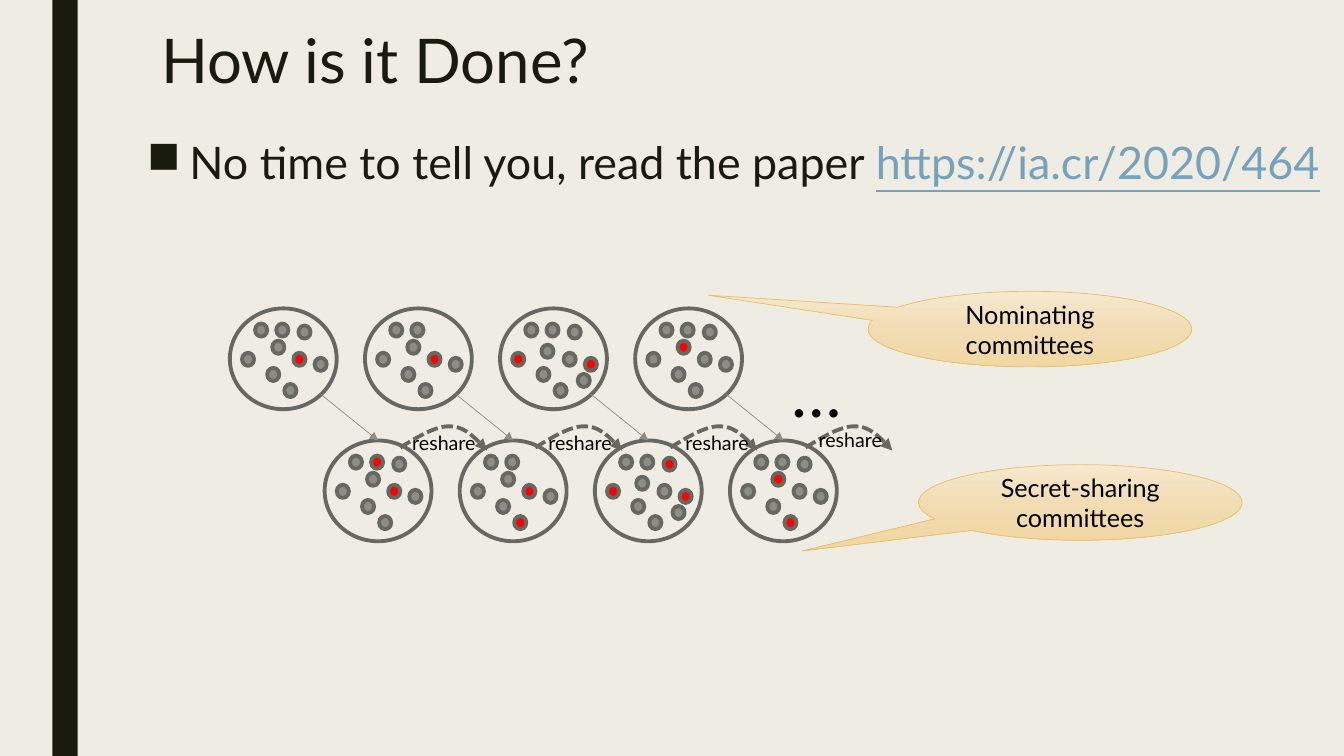
"""Build the slide on nominating and secret-sharing committees."""
from copy import deepcopy
from dataclasses import dataclass

from lxml import etree
from pptx import Presentation
from pptx import util as u
from pptx.dml.color import RGBColor
from pptx.enum import dml, shapes, text
from pptx.oxml.ns import qn
from pptx.shapes.autoshape import Shape
from pptx.shapes.base import BaseShape
from pptx.slide import Slide
from pptx.text.text import TextFrame


@dataclass(frozen=True)
class Theme:
    """Colours, font and sizes of the slide."""
    font: str = "Lato"
    background: str = "EFEDE3"
    ink: str = "191B0E"
    link: str = "77A2BB"
    label: str = "000000"
    outline: str = "686863"
    honest: str = "8C8D86"
    corrupt: str = "FF0000"
    callout_line: str = "E6C069"
    callout_stops: tuple[str, ...] = ("F7E9D0", "F1DCB4", "F1D7A3")
    title_size: float = 44
    body_size: float = 32
    ellipsis_size: float = 48
    callout_size: float = 18
    label_size: float = 14
    heavy: float = 2.75
    thin: float = 0.5


@dataclass(frozen=True)
class Box:
    """A frame in inches."""
    left: float
    top: float
    width: float
    height: float

    def lengths(self) -> tuple[int, ...]:
        """Return the frame as lengths."""
        return tuple(map(u.Inches, (self.left, self.top, self.width, self.height)))


@dataclass(frozen=True)
class Round:
    """The members of one column and the corrupt ones in each row."""
    members: str
    nominating_corrupt: str
    sharing_corrupt: str


@dataclass(frozen=True)
class Callout:
    """A speech bubble with its pointer."""
    caption: str
    box: Box
    pointer: tuple[float, float]


THEME = Theme()
PITCH = 1.34
NOMINATING = (2.28, 3.06)
SHARING = (3.22, 4.37)
CIRCLE = (1.06, 1.0)
MEMBER = (0.12, 0.13)
SEATS = {
    "A": (0.25, 0.15), "B": (0.42, 0.32), "C": (0.12, 0.44), "D": (0.37, 0.59),
    "E": (0.54, 0.75), "F": (0.68, 0.17), "G": (0.63, 0.44), "H": (0.84, 0.49),
    "I": (0.46, 0.15), "J": (0.77, 0.65), "K": (0.41, 0.36),
}
ROUNDS = (
    Round("ABCDEFGHI", "G", "GI"),
    Round("ABCDEGHI", "G", "EG"),
    Round("AKCDEFGHIJ", "CH", "CFH"),
    Round("ABCDEFGHI", "B", "BE"),
)
RESHARE_START = (3.97, 4.23)
RESHARE_CURVES = (
    ((0, 0.21), (0.18, 0.1), (0.36, -0.01), (0.5, 0)),
    ((0.5, 0), (0.64, 0), (0.75, 0.12), (0.86, 0.24)),
)
CURVE_STEPS = 12
RESHARE_LABELS = ((3.99, 4.23), (5.34, 4.23), (6.7, 4.23), (8.02, 4.2))
CALLOUTS = (
    Callout("Nominating committees", Box(8.61, 2.89, 3.21, 0.75), (-0.994, -0.449)),
    Callout("Secret-sharing committees", Box(9.11, 4.61, 3.21, 0.75), (-0.859, 0.642)),
)


def rgb(value: str) -> RGBColor:
    """Return a colour from its hexadecimal form."""
    return RGBColor.from_string(value)


def write(frame: TextFrame, words: str, size: float, color: str) -> None:
    """Write one styled paragraph into a frame."""
    paragraph = frame.paragraphs[0]
    paragraph.add_run().text = words
    paragraph.font.name = THEME.font
    paragraph.font.size = u.Pt(size)
    paragraph.font.color.rgb = rgb(color)


def add_text(slide: Slide, box: Box, words: str, size: float, color: str,
             wrap: bool = True) -> TextFrame:
    """Add a text box and return its frame."""
    frame = slide.shapes.add_textbox(*box.lengths()).text_frame
    frame.word_wrap = wrap
    write(frame, words, size, color)
    return frame


def set_line(shape: BaseShape, color: str, width: float) -> None:
    """Set the colour and width of an outline."""
    shape.line.color.rgb = rgb(color)
    shape.line.width = u.Pt(width)


def add_arrowhead(shape: BaseShape) -> None:
    """End a line with a triangle."""
    etree.SubElement(shape.line._get_or_add_ln(), qn("a:tailEnd"), type="triangle")


def add_ellipse(slide: Slide, box: Box, fill: str | None = None) -> Shape:
    """Add an outlined ellipse, hollow unless a fill is given."""
    ellipse = slide.shapes.add_shape(shapes.MSO_SHAPE.OVAL, *box.lengths())
    ellipse.shadow.inherit = False
    set_line(ellipse, THEME.outline, THEME.heavy)
    if fill:
        ellipse.fill.solid()
        ellipse.fill.fore_color.rgb = rgb(fill)
    else:
        ellipse.fill.background()
    return ellipse


def add_committee(slide: Slide, left: float, top: float, members: str, corrupt: str) -> Shape:
    """Add a committee circle with its members."""
    circle = add_ellipse(slide, Box(left, top, *CIRCLE))
    for member in members:
        across, down = SEATS[member]
        color = THEME.corrupt if member in corrupt else THEME.honest
        add_ellipse(slide, Box(left + across, top + down, *MEMBER), color)
    return circle


def add_nomination(slide: Slide, left: float, top: float, target: Shape) -> None:
    """Add an arrow from a nominating committee to its target."""
    start = u.Inches(left + 0.9), u.Inches(top + 0.85)
    arrow = slide.shapes.add_connector(shapes.MSO_CONNECTOR.STRAIGHT, *start, *start)
    arrow.end_connect(target, 0)
    set_line(arrow, THEME.honest, THEME.thin)
    add_arrowhead(arrow)
    etree.SubElement(arrow._element.spPr, qn("a:effectLst"))


def curve_point(curve: tuple, t: float, left: float, top: float) -> tuple[int, int]:
    """Return the point of a cubic curve at parameter t."""
    weights = ((1 - t) ** 3, 3 * t * (1 - t) ** 2, 3 * t ** 2 * (1 - t), t ** 3)
    x, y = (sum(w * point[axis] for w, point in zip(weights, curve)) for axis in (0, 1))
    return u.Inches(left + x), u.Inches(top + y)


def add_reshare(slide: Slide, left: float, top: float) -> None:
    """Add a dashed curved arrow."""
    start, *points = [curve_point(curve, step / CURVE_STEPS, left, top)
                      for curve in RESHARE_CURVES for step in range(CURVE_STEPS + 1)]
    builder = slide.shapes.build_freeform(*start)
    builder.add_line_segments(points, close=False)
    arrow = builder.convert_to_shape()
    arrow.shadow.inherit = False
    arrow.fill.background()
    set_line(arrow, THEME.outline, THEME.heavy)
    arrow.line.dash_style = dml.MSO_LINE.SQUARE_DOT
    add_arrowhead(arrow)


def add_callout(slide: Slide, callout: Callout) -> None:
    """Add a gradient speech bubble."""
    shape = slide.shapes.add_shape(shapes.MSO_SHAPE.OVAL_CALLOUT, *callout.box.lengths())
    shape.adjustments[0], shape.adjustments[1] = callout.pointer
    shape.shadow.inherit = False
    set_line(shape, THEME.callout_line, THEME.thin)
    shape.fill.gradient()
    shape.fill.gradient_angle = 270
    stop_list = shape._element.spPr.find(".//" + qn("a:gsLst"))
    stop_list.insert(1, deepcopy(stop_list[0]))
    for index, stop in enumerate(shape.fill.gradient_stops):
        stop.position = index / 2
        stop.color.rgb = rgb(THEME.callout_stops[index])
    frame = shape.text_frame
    frame.word_wrap = True
    frame.vertical_anchor = text.MSO_ANCHOR.MIDDLE
    write(frame, callout.caption, THEME.callout_size, THEME.label)
    frame.paragraphs[0].alignment = text.PP_ALIGN.CENTER


def add_heading(slide: Slide) -> None:
    """Add the side bar, the title and the bulleted sentence."""
    bar = slide.shapes.add_shape(shapes.MSO_SHAPE.RECTANGLE, *Box(0.52, 0, 0.25, 7.5).lengths())
    bar.shadow.inherit = False
    bar.fill.solid()
    bar.fill.fore_color.rgb = rgb(THEME.ink)
    bar.line.fill.background()
    title = add_text(slide, Box(1.5, 0.26, 10.5, 1.08), "How is it Done?",
                     THEME.title_size, THEME.ink)
    title.paragraphs[0].line_spacing = 0.89
    body = slide.shapes.add_textbox(*Box(1.36, 1.33, 11.89, 6.07).lengths()).text_frame
    body.word_wrap = True
    paragraph = body.paragraphs[0]
    paragraph.line_spacing = 0.94
    properties = paragraph._p.get_or_add_pPr()
    properties.set("marL", str(u.Inches(0.42)))
    properties.set("indent", str(u.Inches(-0.42)))
    etree.SubElement(properties, qn("a:buChar"), char="■")
    write(body, "No time to tell you, read the paper ", THEME.body_size, THEME.ink)
    link = paragraph.add_run()
    link.text = "https://ia.cr/2020/464"
    link.font.color.rgb = rgb(THEME.link)
    link.font.underline = True


def main() -> None:
    """Build and save the presentation."""
    presentation = Presentation()
    presentation.slide_width, presentation.slide_height = u.Inches(13.33), u.Inches(7.5)
    slide = presentation.slides.add_slide(presentation.slide_layouts[6])
    slide.background.fill.solid()
    slide.background.fill.fore_color.rgb = rgb(THEME.background)
    add_heading(slide)
    for column, entry in enumerate(ROUNDS):
        shift = column * PITCH
        left, top = NOMINATING[0] + shift, NOMINATING[1]
        add_committee(slide, left, top, entry.members, entry.nominating_corrupt)
        target = add_committee(slide, SHARING[0] + shift, SHARING[1],
                               entry.members, entry.sharing_corrupt)
        add_nomination(slide, left, top, target)
    add_text(slide, Box(7.75, 3.43, 0.56, 0.89), "…", THEME.ellipsis_size, THEME.label)
    for column, place in enumerate(RESHARE_LABELS):
        add_reshare(slide, RESHARE_START[0] + column * PITCH, RESHARE_START[1])
        add_text(slide, Box(*place, 0.84, 0.33), "reshare",
                 THEME.label_size, THEME.label, wrap=False)
    for callout in CALLOUTS:
        add_callout(slide, callout)
    presentation.save("out.pptx")


if __name__ == "__main__":
    main()
